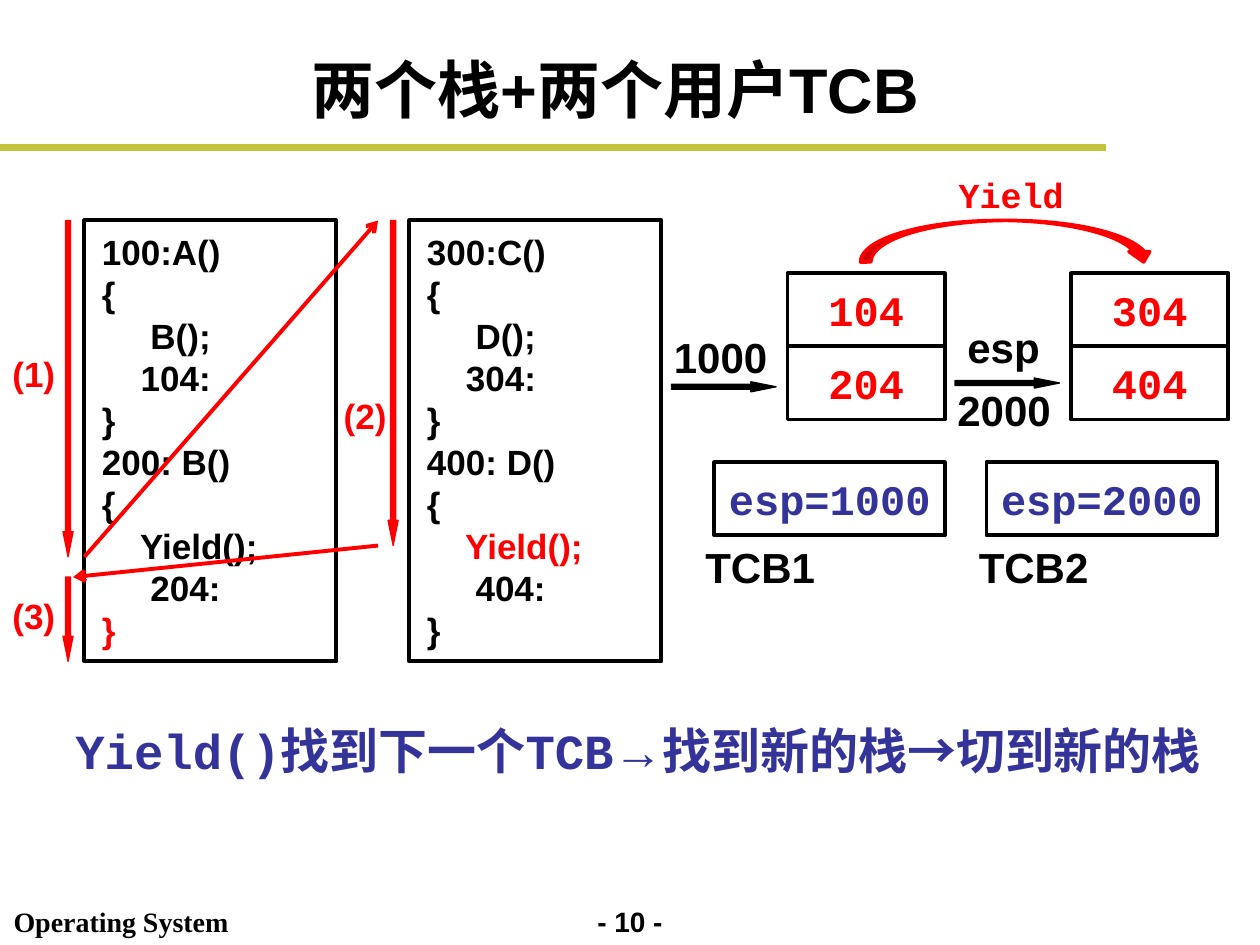
from lxml import etree
from pptx import Presentation, util as u
from pptx.dml.color import RGBColor
from pptx.enum import shapes, text
from pptx.oxml import ns

Inches = u.Inches
BLACK = RGBColor(0x00, 0x00, 0x00)
WHITE = RGBColor(0xFF, 0xFF, 0xFF)
RED = RGBColor(0xFF, 0x00, 0x00)
BLUE = RGBColor(0x33, 0x33, 0x99)
OLIVE = RGBColor(0xC1, 0xC4, 0x3C)
MONO = "Courier New"

prs = Presentation()
prs.slide_width, prs.slide_height = Inches(10), Inches(7.5)
s = prs.slides.add_slide(prs.slide_layouts[6])


def write(sp, lines, size, color=BLACK, font="Arial", align=None, wrap=True,
          anchor=text.MSO_ANCHOR.TOP):
    """Each line is a list of (text, overrides) runs."""
    tf = sp.text_frame
    tf.word_wrap, tf.vertical_anchor = wrap, anchor
    for i, line in enumerate(lines):
        p = tf.paragraphs[0] if i == 0 else tf.add_paragraph()
        p.alignment = align
        for words, own in line:
            r = p.add_run()
            r.text = words
            r.font.size, r.font.bold = u.Pt(size), True
            r.font.name = own.get("font", font)
            r.font.color.rgb = own.get("color", color)


def draw(kind, x, y, w, h, fill, line, width):
    sp = s.shapes.add_shape(kind, Inches(x), Inches(y), Inches(w), Inches(h))
    sp.shadow.inherit = False
    sp.fill.solid()
    sp.fill.fore_color.rgb = fill
    sp.line.color.rgb, sp.line.width = line, u.Pt(width)
    return sp


RECT = shapes.MSO_SHAPE.RECTANGLE
ARROW = shapes.MSO_SHAPE.RIGHT_ARROW
CENTER = text.PP_ALIGN.CENTER
MIDDLE = text.MSO_ANCHOR.MIDDLE

# Title
sp = s.shapes.add_textbox(Inches(0.42), Inches(0.33), Inches(8.92), Inches(0.74))
write(sp, [[("两个栈+两个用户TCB", {})]], 36, align=CENTER, anchor=MIDDLE)

# Code panels
panels = [
    (0.67, ["100:A()", "{", "     B();", "    104:", "}",
            "200: B()", "{", "    Yield();", "     204:", "}"], 9),
    (3.25, ["300:C()", "{", "     D();", "    304:", "}",
            "400: D()", "{", "    Yield();", "     404:", "}"], 7),
]
for x, code, red_line in panels:
    draw(RECT, x, 1.75, 2, 3.5, WHITE, BLACK, 2.25)
    sp = s.shapes.add_textbox(Inches(x + 0.04), Inches(1.78), Inches(1.72), Inches(3.44))
    write(sp, [[(words, {"color": RED if i == red_line else BLACK})]
               for i, words in enumerate(code)], 20)

# Stack cells and TCB boxes
for x, y, w, words, color in [
    (6.25, 2.17, 1.25, "104", RED), (6.25, 2.75, 1.25, "204", RED),
    (8.5, 2.17, 1.25, "304", RED), (8.5, 2.75, 1.25, "404", RED),
    (5.67, 3.67, 1.83, "esp=1000", BLUE), (7.83, 3.67, 1.83, "esp=2000", BLUE),
]:
    sp = draw(RECT, x, y, w, 0.58, WHITE, BLACK, 2.25)
    write(sp, [[(words, {})]], 24, color, MONO, CENTER, False, MIDDLE)

# Stack pointer arrows
for x, y in [(5.33, 3.03), (7.58, 3)]:
    sp = draw(ARROW, x, y, 0.83, 0.08, BLACK, BLACK, 0.75)
    sp.adjustments[1] = 2.5

# Execution order arrows, pointing down: centre x, top, length
for x, top, length in [(0.54, 1.75, 2.67), (3.12, 1.75, 2.58), (0.54, 4.58, 0.67)]:
    sp = draw(ARROW, x - length / 2, top + length / 2 - 0.04, length, 0.08, RED, RED, 0.75)
    sp.adjustments[1] = 2.5
    sp.rotation = 90

# Title rule and jumps between the panels
for x1, y1, x2, y2, color, width, head in [
    (0, 1.17, 8.78, 1.17, OLIVE, 4, False),
    (0.67, 4.42, 3, 1.75, RED, 2.25, True),
    (3, 4.33, 0.58, 4.58, RED, 2.25, True),
]:
    cn = s.shapes.add_connector(shapes.MSO_CONNECTOR.STRAIGHT,
                                Inches(x1), Inches(y1), Inches(x2), Inches(y2))
    cn.line.color.rgb, cn.line.width = color, u.Pt(width)
    if head:
        etree.SubElement(cn.line._get_or_add_ln(), ns.qn("a:tailEnd"), type="arrow")
    etree.SubElement(cn._element.spPr, ns.qn("a:effectLst"))

# Curved arrow from one stack to the other
draw(shapes.MSO_SHAPE.CURVED_DOWN_ARROW, 6.83, 1.75, 2.33, 0.33, RED, RED, 2)

# Labels
for x, y, w, h, words, size, color, font in [
    (0, 2.75, 0.6, 0.44, "(1)", 20, RED, "Arial"),
    (2.63, 3.08, 0.6, 0.44, "(2)", 20, RED, "Arial"),
    (0, 4.67, 0.6, 0.44, "(3)", 20, RED, "Arial"),
    (7.51, 1.33, 1.15, 0.44, "Yield", 20, RED, MONO),
    (5.25, 2.58, 1.17, 0.5, "1000", 24, BLACK, "Arial"),
    (7.58, 2.5, 0.83, 0.5, "esp", 24, BLACK, "Arial"),
    (7.5, 3, 1, 0.5, "2000", 24, BLACK, "Arial"),
    (5.5, 4.25, 1.17, 0.5, "TCB1", 24, BLACK, "Arial"),
    (7.67, 4.25, 1.17, 0.5, "TCB2", 24, BLACK, "Arial"),
    (0.01, 7.13, 2.1, 0.37, "Operating System", 16, BLACK, "Times New Roman"),
]:
    sp = s.shapes.add_textbox(Inches(x), Inches(y), Inches(w), Inches(h))
    write(sp, [[(words, {})]], size, color, font)

# Summary with a hanging indent
sp = s.shapes.add_textbox(Inches(0.5), Inches(5.67), Inches(9.25), Inches(0.67))
arrow = ("→", {"font": "Arial"})
write(sp, [[("Yield()找到下一个TCB", {}), arrow, ("找到新的栈", {}), arrow,
            ("切到新的栈", {})]], 28, BLUE, MONO)
pPr = sp.text_frame.paragraphs[0]._p.get_or_add_pPr()
pPr.set("marL", str(Inches(0.38)))
pPr.set("indent", str(Inches(-0.38)))

# Page number
sp = s.shapes.add_textbox(Inches(4.5), Inches(7.13), Inches(1), Inches(0.37))
write(sp, [[("- 10 -", {})]], 16, align=CENTER)

prs.save("out.pptx")
